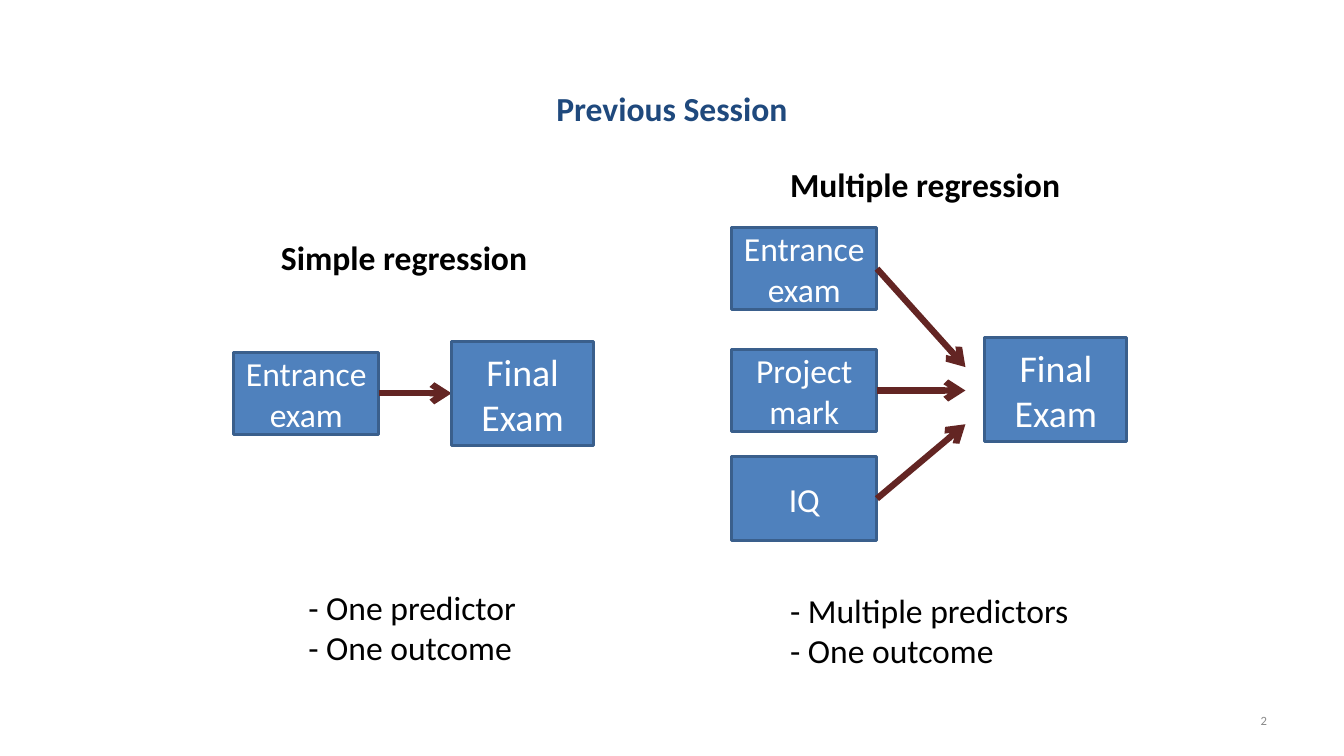
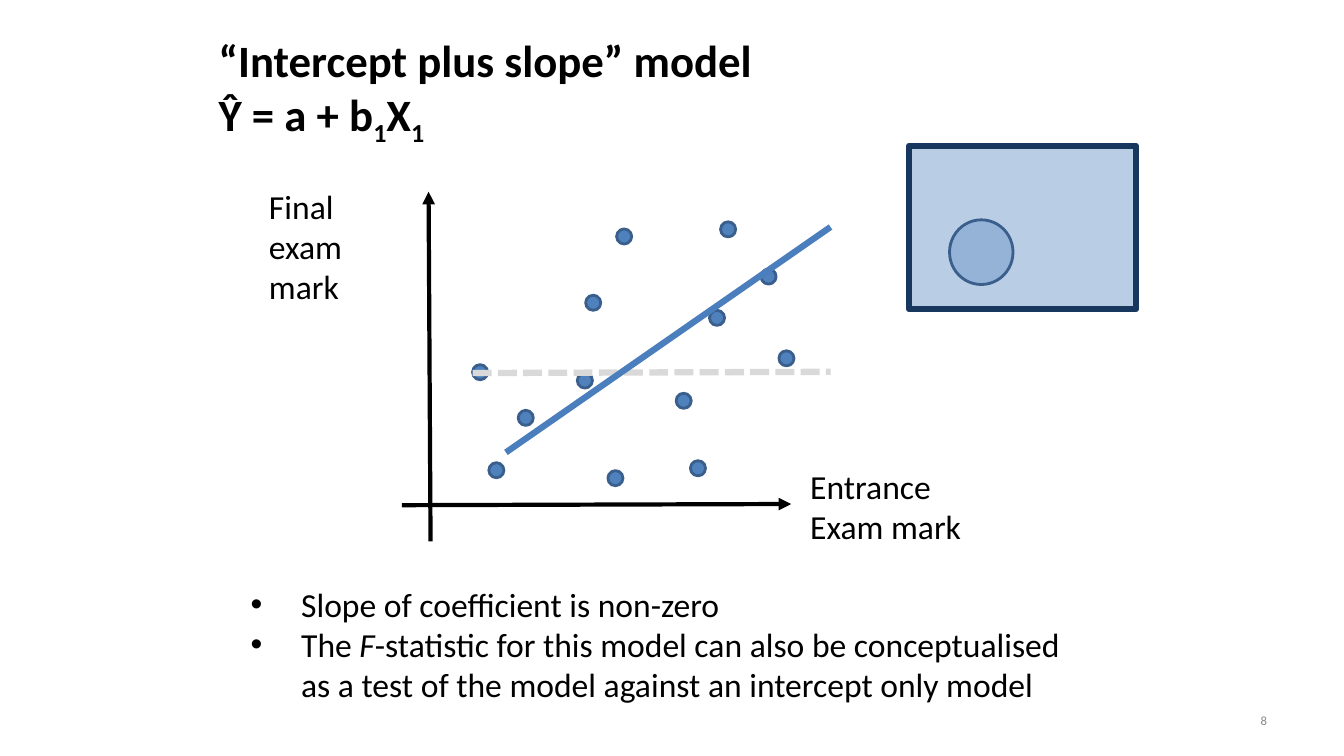
from lxml.etree import SubElement
from pptx import Presentation
from pptx.dml.color import RGBColor
from pptx.enum.dml import MSO_LINE as Dash
from pptx.enum.shapes import MSO_CONNECTOR as Link, MSO_SHAPE as Form
from pptx.enum.text import MSO_ANCHOR as Anchor, PP_ALIGN as Align
from pptx.oxml.ns import qn
from pptx.util import Cm, Pt

BLACK = RGBColor(0x00, 0x00, 0x00)
WHITE = RGBColor(0xFF, 0xFF, 0xFF)
NAVY = RGBColor(0x1F, 0x49, 0x7D)
BLUE = RGBColor(0x4F, 0x81, 0xBD)
EDGE = RGBColor(0x3A, 0x5F, 0x8C)
SLOPE = RGBColor(0x4B, 0x7E, 0xBC)
PALE = RGBColor(0xB9, 0xCD, 0xE5)
DEEP = RGBColor(0x17, 0x37, 0x5E)
WINE = RGBColor(0x63, 0x25, 0x23)
SILVER = RGBColor(0xD9, 0xD9, 0xD9)
GREY = RGBColor(0x89, 0x89, 0x89)


class Deck:
    font = "Calibri"
    size = 24

    def __init__(self):
        self.show = Presentation()
        self.show.slide_width = Cm(33.87)
        self.show.slide_height = Cm(19.05)
        self.slide = None

    def page(self, number):
        self.slide = self.show.slides.add_slide(self.show.slide_layouts[6])
        self.text(str(number), 24.28, 17.65, 7.9, 1.02, size=9, color=GREY,
                  align=Align.RIGHT, anchor=Anchor.MIDDLE)

    def style(self, frame, size, color, bold=False, align=Align.LEFT):
        for para in frame.paragraphs:
            para.alignment = align
            for run in para.runs:
                font = run.font
                font.name, font.size, font.bold = self.font, Pt(size), bold
                font.color.rgb = color

    def text(self, words, x, y, w, h, size=size, color=BLACK, bold=False,
             align=Align.LEFT, anchor=Anchor.TOP, wrap=False):
        box = self.slide.shapes.add_textbox(Cm(x), Cm(y), Cm(w), Cm(h))
        frame = box.text_frame
        frame.text = words
        frame.word_wrap = wrap
        frame.vertical_anchor = anchor
        self.style(frame, size, color, bold, align)
        return frame

    def split(self, para, parts):
        """Divide a one-run paragraph into parts that share its font."""
        first = para.runs[0].font
        para.text = parts[0]
        for part in parts[1:]:
            para.add_run().text = part
        for run in para.runs:
            run.font.name, run.font.size = self.font, first.size
            run.font.bold = first.bold
            run.font.color.rgb = BLACK
        return para.runs

    def bullet(self, para):
        props = para._p.get_or_add_pPr()
        props.set("marL", str(Cm(1.27)))
        props.set("indent", str(-Cm(1.27)))
        SubElement(props, qn("a:buFont")).set("typeface", "Arial")
        SubElement(props, qn("a:buChar")).set("char", "•")

    def shape(self, form, x, y, w, h, fill=BLUE, edge=EDGE, width=2,
              alpha=None):
        item = self.slide.shapes.add_shape(form, Cm(x), Cm(y), Cm(w), Cm(h))
        item.shadow.inherit = False
        item.fill.solid()
        item.fill.fore_color.rgb = fill
        item.line.color.rgb = edge
        item.line.width = Pt(width)
        if alpha:
            tint = item._element.spPr.find(qn("a:solidFill"))[0]
            SubElement(tint, qn("a:alpha")).set("val", str(alpha * 1000))
        return item

    def box(self, words, x, y, w=3.66, h=2.06, size=size):
        frame = self.shape(Form.RECTANGLE, x, y, w, h).text_frame
        frame.text = words
        frame.word_wrap = True
        frame.vertical_anchor = Anchor.MIDDLE
        self.style(frame, size, WHITE, align=Align.CENTER)

    def final(self, x, y):
        self.box("Final Exam", x, y, 3.58, 2.62, 27)

    def line(self, x1, y1, x2, y2, color, width=4.5, head=None, dash=None):
        link = self.slide.shapes.add_connector(
            Link.STRAIGHT, Cm(x1), Cm(y1), Cm(x2), Cm(y2))
        link.line.color.rgb = color
        link.line.width = Pt(width)
        if dash:
            link.line.dash_style = dash
        if head:
            SubElement(link.line._get_or_add_ln(),
                       qn("a:tailEnd")).set("type", head)
        SubElement(link._element.spPr, qn("a:effectLst"))


deck = Deck()

# Slide 1: simple and multiple regression
deck.page(2)
deck.text("Previous Session", 8.36, 1.85, 17.15, 1.75, color=NAVY, bold=True,
          align=Align.CENTER, anchor=Anchor.MIDDLE, wrap=True)

# Simple regression
deck.text("Simple regression", 6.83, 5.84, 6.78, 1.3, bold=True)
deck.box("Entrance exam", 5.89, 8.89)
deck.line(9.55, 9.91, 11.38, 9.91, WINE, head="arrow")
deck.final(11.38, 8.61)
deck.text("- One predictor\n- One outcome", 7.52, 14.66, 5.89, 2.31)

# Multiple regression
deck.text("Multiple regression", 19.66, 4.01, 7.39, 1.3, bold=True)
for words, top, high, tip in (("Entrance exam", 5.74, 2.06, 9.25),
                              ("Project mark", 8.81, 2.06, 9.84),
                              ("IQ", 11.51, 2.11, 10.69)):
    deck.box(words, 18.44, top, h=high)
    deck.line(22.1, top + high / 2, 24.33, tip, WINE, head="arrow")
deck.final(24.82, 8.51)
deck.text("- Multiple predictors\n- One outcome", 19.66, 14.73, 7.59, 2.31)

# Slide 2: intercept plus slope
deck.page(8)
title = deck.text("“Intercept plus slope” model\nŶ = a + b1X1",
                  5.26, 0.71, 14.07, 3, size=32, bold=True)
terms = deck.split(title.paragraphs[1], ["Ŷ = a + b", "1", "X", "1"])
for sub in terms[1::2]:
    sub._r.get_or_add_rPr().set("baseline", "-25000")

# Axes
deck.line(10.13, 12.73, 19.94, 12.7, BLACK, 3, "triangle")
deck.line(10.85, 13.64, 10.8, 4.83, BLACK, 3, "triangle")
deck.text("Entrance\nExam mark", 20.17, 11.61, 4.34, 2.31)
deck.text("Final\nexam\nmark", 6.53, 4.55, 2.36, 3.33)

# Scatter with the mean and the slope
DOTS = ((14.76, 7.44), (11.91, 9.19), (13.06, 10.34), (17.88, 7.82),
        (14.55, 9.4), (12.32, 11.66), (17.4, 11.61), (17.04, 9.91),
        (15.54, 5.77), (19.18, 6.78), (19.63, 8.84), (18.16, 5.59),
        (15.32, 11.86))
for x, y in DOTS:
    deck.shape(Form.OVAL, x, y, 0.38, 0.38)
deck.line(11.91, 9.4, 20.93, 9.37, SILVER, dash=Dash.SQUARE_DOT)
deck.line(12.75, 11.4, 20.93, 5.72, SLOPE)

# Variance panel
deck.shape(Form.RECTANGLE, 22.91, 3.68, 5.72, 4.11, PALE, DEEP, 4.5)
deck.shape(Form.OVAL, 23.93, 5.54, 1.6, 1.63, alpha=34)

# Remarks
notes = deck.text(
    "Slope of coefficient is non-zero\n"
    "The F-statistic for this model can also be conceptualised "
    "as a test of the model against an intercept only model",
    6.07, 14.58, 21.74, 3.33, wrap=True)
for para in notes.paragraphs:
    deck.bullet(para)
last = notes.paragraphs[1]
start, end = last.text.split("F", 1)
deck.split(last, [start, "F", end])[1].font.italic = True

deck.show.save("out.pptx")
